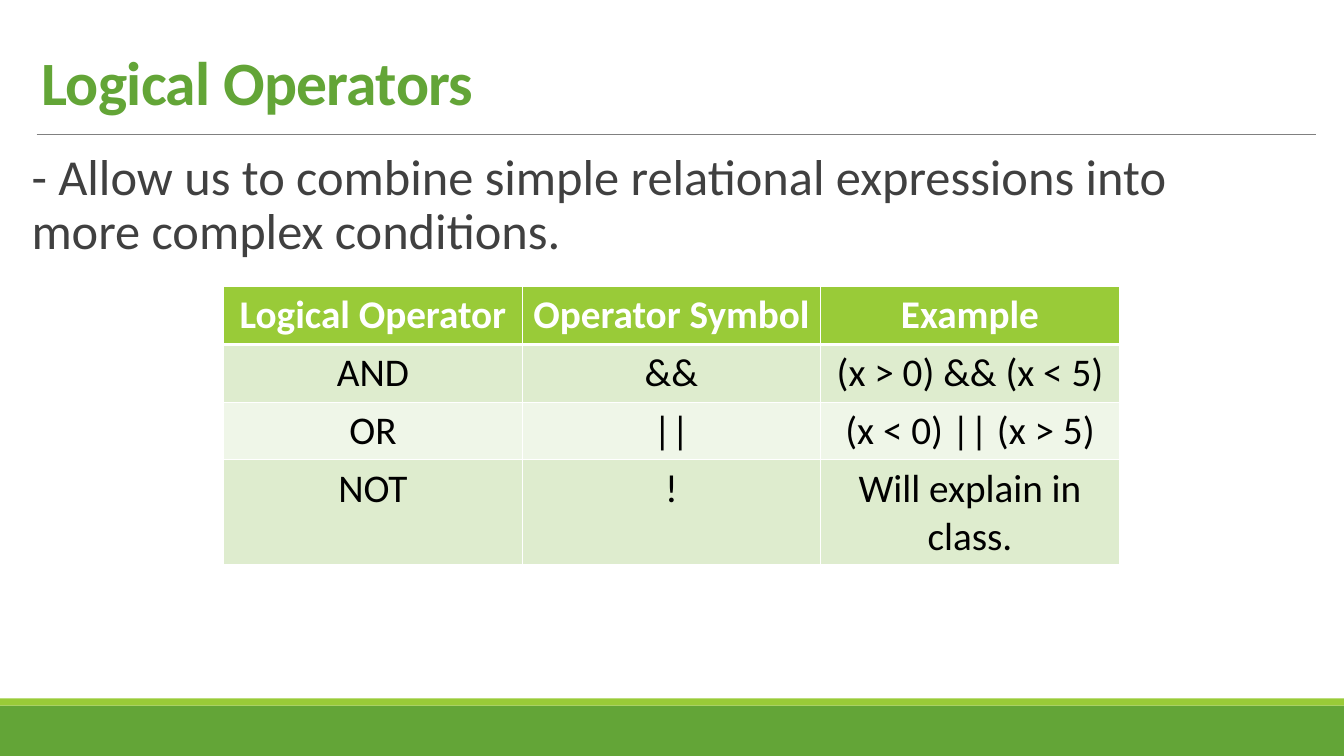
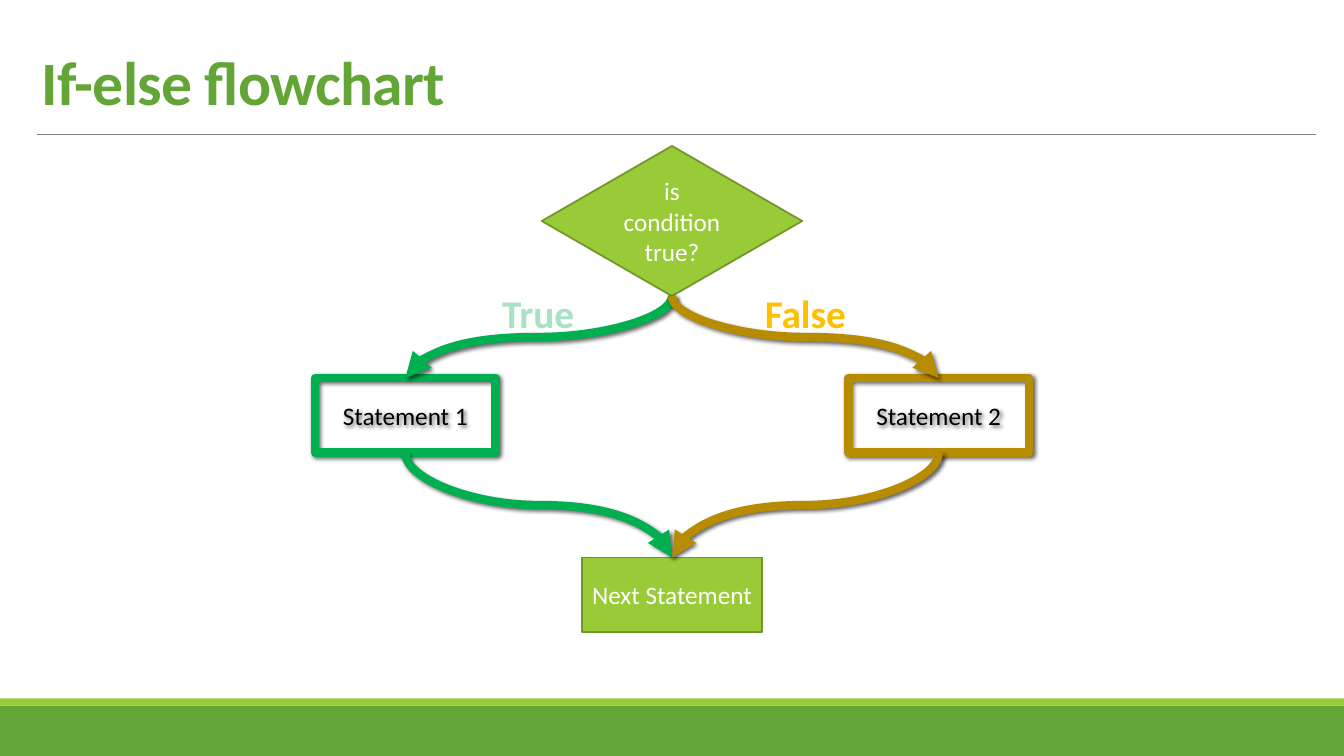
import pptx
import pptx.dml.color
import pptx.enum.shapes
import pptx.enum.text
import pptx.oxml
import pptx.oxml.ns
import pptx.util

PX = 9525
W, H = 1280, 720
FONT = "Calibri"
COLORS = {
    "green": "63A537", "lime": "99CB38", "olive": "719629", "rule": "808080",
    "body": "404040", "white": "FFFFFF", "black": "000000",
    "band1": "DEECCE", "band2": "EFF6E8",
    "true": "00B050", "true_label": "A8E2C5", "false": "B88C00", "false_label": "FFC000",
}
MSO = pptx.enum.shapes.MSO_SHAPE
ALIGN = pptx.enum.text.PP_ALIGN
ANCHOR = pptx.enum.text.MSO_ANCHOR
Pt = pptx.util.Pt

TITLE = {"font": {"size": Pt(44), "bold": True}, "color": "green",
         "para": {"line_spacing": 0.85}, "frame": {"vertical_anchor": ANCHOR.BOTTOM}}
BODY = {"font": {"size": Pt(36)}, "color": "body",
        "para": {"line_spacing": 0.9, "space_before": Pt(12), "space_after": Pt(2)},
        "frame": {"margin_left": 0, "margin_right": 0}}
CENTER = {"alignment": ALIGN.CENTER}
HEAD = {"font": {"size": Pt(28), "bold": True}, "color": "white", "para": CENTER}
CELL = {"font": {"size": Pt(28)}, "color": "black", "para": CENTER}
NODE = {"font": {"size": Pt(18)}, "color": "white", "para": CENTER,
        "frame": {"vertical_anchor": ANCHOR.MIDDLE}}
OUTLINED = {**NODE, "color": "black"}
LABEL = {"font": {"size": Pt(28), "bold": True}, "para": CENTER, "frame": {"word_wrap": False}}


def px(*values):
    return [round(v * PX) for v in values]


def rgb(name):
    return pptx.dml.color.RGBColor.from_string(COLORS[name])


def apply(obj, values):
    for name, value in values.items():
        setattr(obj, name, value)


def add_xml(parent, xml, index=None):
    """Parse a DrawingML element and put it into parent."""
    ns = pptx.oxml.ns.nsdecls("a")
    element = pptx.oxml.parse_xml(xml.replace(">", f" {ns}>", 1) if "/>" not in xml.split(">", 1)[0] + ">"
                                  else xml.replace("/>", f" {ns}/>", 1))
    parent.insert(len(parent) if index is None else index, element)
    return element


def write(tf, text, style):
    """Write one paragraph per line of text in the given style."""
    apply(tf, {"word_wrap": True, **style.get("frame", {})})
    for i, line in enumerate(text.split("\n")):
        p = tf.add_paragraph() if i else tf.paragraphs[0]
        apply(p, style["para"])
        r = p.add_run()
        r.text = line
        apply(r.font, {"name": FONT, **style["font"]})
        r.font.color.rgb = rgb(style["color"])


def text_box(s, box, text, style):
    sp = s.shapes.add_textbox(*px(*box))
    write(sp.text_frame, text, style)
    return sp


def shape(s, kind, box, fill=None, line=None, weight=1.25):
    sp = s.shapes.add_shape(kind, *px(*box))
    sp.shadow.inherit = False
    if fill:
        sp.fill.solid()
        sp.fill.fore_color.rgb = rgb(fill)
    else:
        sp.fill.background()
    if line:
        sp.line.color.rgb = rgb(line)
        sp.line.width = Pt(weight)
    else:
        sp.line.fill.background()
    return sp


def effects(sp, shadow=False):
    """Replace the theme effects by none, or by a soft drop shadow."""
    props = sp._element.spPr
    for old in props.findall(pptx.oxml.ns.qn("a:effectLst")):
        props.remove(old)
    drop = (f'<a:outerShdw blurRad="{Pt(3)}" dist="{Pt(2)}" dir="2700000" algn="tl" rotWithShape="0">'
            '<a:srgbClr val="000000"><a:alpha val="60000"/></a:srgbClr></a:outerShdw>')
    add_xml(props, f"<a:effectLst>{drop if shadow else ''}</a:effectLst>")


def base_slide(prs, title):
    s = prs.slides.add_slide(prs.slide_layouts[6])
    shape(s, MSO.RECTANGLE, (0, 672, W, 48), "green")
    shape(s, MSO.RECTANGLE, (0, 665, W, 7), "lime")
    rule = s.shapes.add_connector(pptx.enum.shapes.MSO_CONNECTOR.STRAIGHT, *px(35, 128, 1253, 128))
    rule.line.color.rgb = rgb("rule")
    rule.line.width = Pt(0.5)
    effects(rule)
    sp = text_box(s, (30, 30, 1141, 87), title, TITLE)
    sp.text_frame.paragraphs[0].runs[0]._r.get_or_add_rPr().set("spc", "-50")
    return s


def border_cell(cell, top, bottom):
    props = cell._tc.get_or_add_tcPr()
    for i, (side, weight) in enumerate((("L", 1), ("R", 1), ("T", top), ("B", bottom))):
        add_xml(props, f'<a:ln{side} w="{Pt(weight)}"><a:solidFill>'
                       f'<a:srgbClr val="{COLORS["white"]}"/></a:solidFill></a:ln{side}>', i)


def operator_table(s, box, rows):
    left, top, width, line_height = box
    heights = [line_height] * (len(rows) - 1) + [100]
    frame = s.shapes.add_table(len(rows), len(rows[0]), *px(left, top, width, sum(heights)))
    table = frame.table
    for column in table.columns:
        column.width = px(width / len(rows[0]))[0]
    for i, texts in enumerate(rows):
        table.rows[i].height = px(heights[i])[0]
        for j, text in enumerate(texts):
            cell = table.cell(i, j)
            cell.fill.solid()
            cell.fill.fore_color.rgb = rgb(("band1" if i % 2 else "band2") if i else "lime")
            write(cell.text_frame, text, CELL if i else HEAD)
            border_cell(cell, 3 if i == 1 else 1, 1 if i else 3)


def curved_arrow(s, source, target, color):
    """Join the bottom of source to the top of target with an S-curve."""
    x1, y1 = source.left + source.width // 2, source.top + source.height
    x2, y2 = target.left + target.width // 2, target.top
    c = s.shapes.add_connector(pptx.enum.shapes.MSO_CONNECTOR.CURVE, x1, y1, x2, y2)
    c.begin_connect(source, 2)
    c.end_connect(target, 0)
    length, breadth = y2 - y1, abs(x2 - x1)
    rightward = x2 > x1
    apply(c, {"left": (x1 + x2 - length) // 2, "top": (y1 + y2 - breadth) // 2,
              "width": length, "height": breadth, "rotation": 270 if rightward else 90})
    apply(c._element.spPr.xfrm, {"flipH": rightward, "flipV": False})
    c.line.color.rgb = rgb(color)
    c.line.width = Pt(6)
    add_xml(c.line._get_or_add_ln(), '<a:tailEnd type="triangle"/>')
    effects(c, shadow=True)


def flowchart(s, box):
    left, top, width, node_w, node_h = box
    middle = left + width / 2

    def node(x, y, text, style, *look):
        sp = shape(s, MSO.RECTANGLE, (x, y, node_w, node_h), *look)
        write(sp.text_frame, text, style)
        return sp

    decision = shape(s, MSO.DIAMOND, (middle - 124, top, 248, 143), "lime", "olive")
    write(decision.text_frame, "is condition\ntrue?", NODE)
    following = node(middle - node_w / 2, top + 392, "Next Statement", NODE, "lime", "olive")
    branches = (("True", "true", left, "Statement 1", 468, 89),
                ("False", "false", left + width - node_w, "Statement 2", 718, 98))
    for answer, color, x, text, label_x, label_w in branches:
        statement = node(x, top + 221, text, OUTLINED, None, color, 6)
        effects(statement, shadow=True)
        curved_arrow(s, decision, statement, color)
        curved_arrow(s, statement, following, color)
        text_box(s, (label_x, top + 132, label_w, 55), answer, {**LABEL, "color": color + "_label"})


def operators_slide(prs):
    s = base_slide(prs, "Logical Operators")
    text_box(s, (30, 140, 1141, 132),
             "- Allow us to combine simple relational expressions into more complex conditions.", BODY)
    operator_table(s, (213, 273, 853, 55), (
        ("Logical Operator", "Operator Symbol", "Example"),
        ("AND", "&&", "(x > 0) && (x < 5)"),
        ("OR", "||", "(x < 0) || (x > 5)"),
        ("NOT", "!", "Will explain in class."),
    ))


def flowchart_slide(prs):
    s = base_slide(prs, "If-else flowchart")
    flowchart(s, (300, 139, 680, 172, 71))


def main():
    prs = pptx.Presentation()
    prs.slide_width, prs.slide_height = px(W, H)
    operators_slide(prs)
    flowchart_slide(prs)
    prs.save("out.pptx")


if __name__ == "__main__":
    main()
